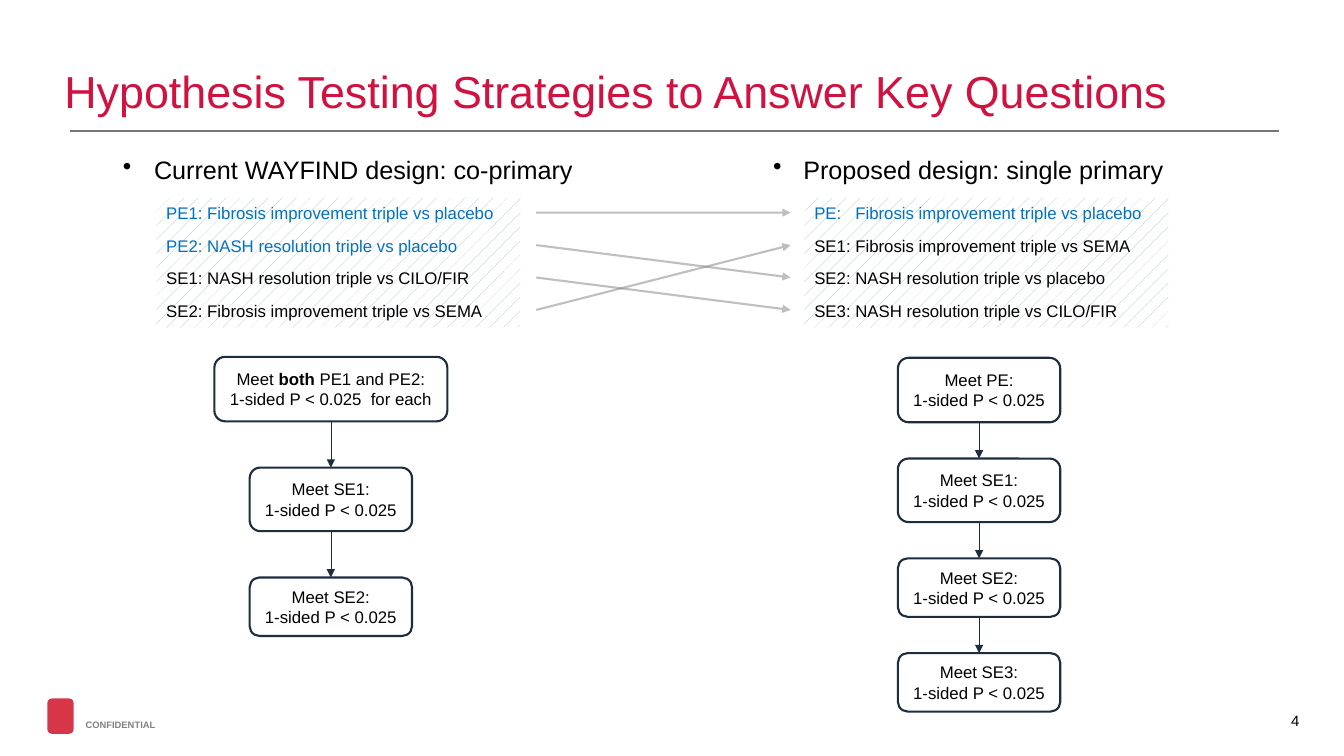
from dataclasses import dataclass

from pptx import Presentation
from pptx.dml.color import RGBColor
from pptx.enum.dml import MSO_PATTERN
from pptx.enum.shapes import MSO_CONNECTOR, MSO_SHAPE
from pptx.enum.text import MSO_ANCHOR, PP_ALIGN
from pptx.oxml.ns import qn
from pptx.util import Inches, Pt
from lxml import etree

TOP, MIDDLE, BOTTOM = MSO_ANCHOR.TOP, MSO_ANCHOR.MIDDLE, MSO_ANCHOR.BOTTOM
LEFT, CENTER, RIGHT = PP_ALIGN.LEFT, PP_ALIGN.CENTER, PP_ALIGN.RIGHT
RECTANGLE, ROUNDED = MSO_SHAPE.RECTANGLE, MSO_SHAPE.ROUNDED_RECTANGLE
STRAIGHT = MSO_CONNECTOR.STRAIGHT
DOTS = MSO_PATTERN.PERCENT_5


@dataclass(frozen=True)
class Theme:
    font: str = "Arial"
    title: str = "D11241"
    emblem: str = "D73648"
    rule: str = "767676"
    muted: str = "808080"
    ink: str = "000000"
    primary: str = "0070C0"
    outline: str = "1E2C40"
    hatch: str = "A7BBD6"
    paper: str = "FFFFFF"
    title_size: float = 32
    heading_size: float = 18
    body_size: float = 12
    number_size: float = 10.7
    footer_size: float = 6.7


def color(value):
    return RGBColor.from_string(value)


def write(box, paragraphs, font, size, ink, align=LEFT, anchor=TOP, wrap=True,
          bold=False, line_spacing=None, first_gap=0, gap=0, bullet_indent=None):
    frame = box.text_frame
    frame.word_wrap = wrap
    frame.vertical_anchor = anchor
    for index, spans in enumerate(paragraphs):
        para = frame.add_paragraph() if index else frame.paragraphs[0]
        para.alignment = align
        para.space_before = Pt(gap if index else first_gap)
        if line_spacing:
            para.line_spacing = line_spacing
        if bullet_indent:
            properties = para._p.get_or_add_pPr()
            properties.set("marL", str(Inches(bullet_indent)))
            properties.set("indent", str(-Inches(bullet_indent)))
            etree.SubElement(properties, qn("a:buChar")).set("char", "•")
        for text, changes in spans:
            span = para.add_run()
            span.text = text
            span.font.name = font
            span.font.size = Pt(size)
            span.font.bold = changes.get("bold", bold)
            span.font.color.rgb = color(changes.get("ink", ink))


def plain(text, **changes):
    return [(text, changes)]


class Page:
    COLUMNS = ROWS = 100

    def __init__(self, deck, theme):
        self.theme = theme
        self.column = deck.slide_width / self.COLUMNS
        self.row = deck.slide_height / self.ROWS
        self.shapes = deck.slides.add_slide(deck.slide_layouts[6]).shapes

    def place(self, across, down):
        return round(across * self.column), round(down * self.row)

    def text(self, left, top, width, height, paragraphs, size, ink, **style):
        box = self.shapes.add_textbox(*self.place(left, top), *self.place(width, height))
        write(box, paragraphs, self.theme.font, size, ink, **style)
        return box

    def shape(self, kind, left, top, width, height):
        box = self.shapes.add_shape(kind, *self.place(left, top), *self.place(width, height))
        box.shadow.inherit = False
        box.fill.background()
        box.line.fill.background()
        return box

    def emblem(self, left, top, width, height):
        box = self.shape(ROUNDED, left, top, width, height)
        box.fill.solid()
        box.fill.fore_color.rgb = color(self.theme.emblem)

    def line(self, start, end, ink, weight, arrow=False, opacity=None):
        link = self.shapes.add_connector(STRAIGHT, *self.place(*start), *self.place(*end))
        link.line.color.rgb = color(ink)
        link.line.width = Pt(weight)
        stroke = link.line._ln
        if opacity:
            tint = stroke.find(".//" + qn("a:srgbClr"))
            etree.SubElement(tint, qn("a:alpha")).set("val", str(opacity * 1000))
        if arrow:
            etree.SubElement(stroke, qn("a:tailEnd")).set("type", "triangle")
        etree.SubElement(link._element.spPr, qn("a:effectLst"))

    def heading(self, left, width, text, indent):
        self.text(left, 19.73, width, 5.33, [plain(text)], self.theme.heading_size,
                  self.theme.ink, bullet_indent=indent)

    def endpoints(self, left, paragraphs):
        panel = self.shape(RECTANGLE, left, 26.13, 27.08, 17.2)
        panel.fill.patterned()
        panel.fill.pattern = DOTS
        panel.fill.fore_color.rgb = color(self.theme.hatch)
        panel.fill.back_color.rgb = color(self.theme.paper)
        write(panel, paragraphs, self.theme.font, self.theme.body_size, self.theme.ink,
              first_gap=3, gap=9)

    def flow(self, center, top, gap, steps):
        heights = (8.53, 8.4, 7.73, 7.73)
        for index, ((width, paragraphs), height) in enumerate(zip(steps, heights)):
            if index:
                self.line((center, top - gap), (center, top), self.theme.outline, 0.5, arrow=True)
            box = self.shape(ROUNDED, center - width / 2, top, width, height)
            box.line.color.rgb = color(self.theme.outline)
            box.line.width = Pt(1.5)
            write(box, paragraphs, self.theme.font, self.theme.body_size, self.theme.ink,
                  align=CENTER, anchor=MIDDLE)
            top += height + gap


def step(endpoint):
    return 12.08, [plain(f"Meet {endpoint}:"), plain("1-sided P < 0.025")]


def main():
    deck = Presentation()
    deck.slide_width, deck.slide_height = Inches(13.33), Inches(7.5)
    theme = Theme()
    page = Page(deck, theme)

    page.emblem(3.53, 92.4, 1.95, 4.67)
    page.line((5.18, 17.33), (95.18, 17.33), theme.rule, 1)
    page.text(5.63, 94.53, 6.83, 2.8, [plain("CONFIDENTIAL")], theme.footer_size,
              theme.muted, bold=True, wrap=False)
    number = page.text(93.38, 92.67, 3.9, 5.33, [plain("4")], theme.number_size, theme.ink,
                       align=RIGHT, anchor=MIDDLE)
    number.text_frame.margin_left = number.text_frame.margin_right = Inches(0.08)
    page.text(4.05, 4.8, 92.17, 11.47,
              [plain("Hypothesis Testing Strategies to Answer Key Questions")],
              theme.title_size, theme.title, anchor=BOTTOM, line_spacing=0.9)

    page.heading(8.4, 36.53, "Current WAYFIND design: co-primary", 0.31)
    page.heading(56.78, 38.03, "Proposed design: single primary", 0.3)
    page.endpoints(11.63, [
        plain("PE1: Fibrosis improvement triple vs placebo", ink=theme.primary),
        plain("PE2: NASH resolution triple vs placebo", ink=theme.primary),
        plain("SE1: NASH resolution triple vs CILO/FIR"),
        plain("SE2: Fibrosis improvement triple vs SEMA"),
    ])
    page.endpoints(59.85, [
        plain("PE:   Fibrosis improvement triple vs placebo", ink=theme.primary),
        plain("SE1: Fibrosis improvement triple vs SEMA"),
        plain("SE2: NASH resolution triple vs placebo"),
        plain("SE3: NASH resolution triple vs CILO/FIR"),
    ])
    for current, proposed in enumerate((0, 2, 3, 1)):
        start, end = (28.13 + 4.29 * rank for rank in (current, proposed))
        page.line((39.9, start), (58.83, end), theme.muted, 1.5, arrow=True, opacity=50)

    both = [("Meet ", {}), ("both", {"bold": True}), (" PE1 and PE2:", {})]
    co_primary = 17.33, [both, plain("1-sided P < 0.025  for each")]
    page.flow(24.62, 47.2, 6.13, [co_primary, step("SE1"), step("SE2")])
    page.flow(72.85, 47.33, 4.8, [step(name) for name in ("PE", "SE1", "SE2", "SE3")])

    deck.save("out.pptx")


if __name__ == "__main__":
    main()
